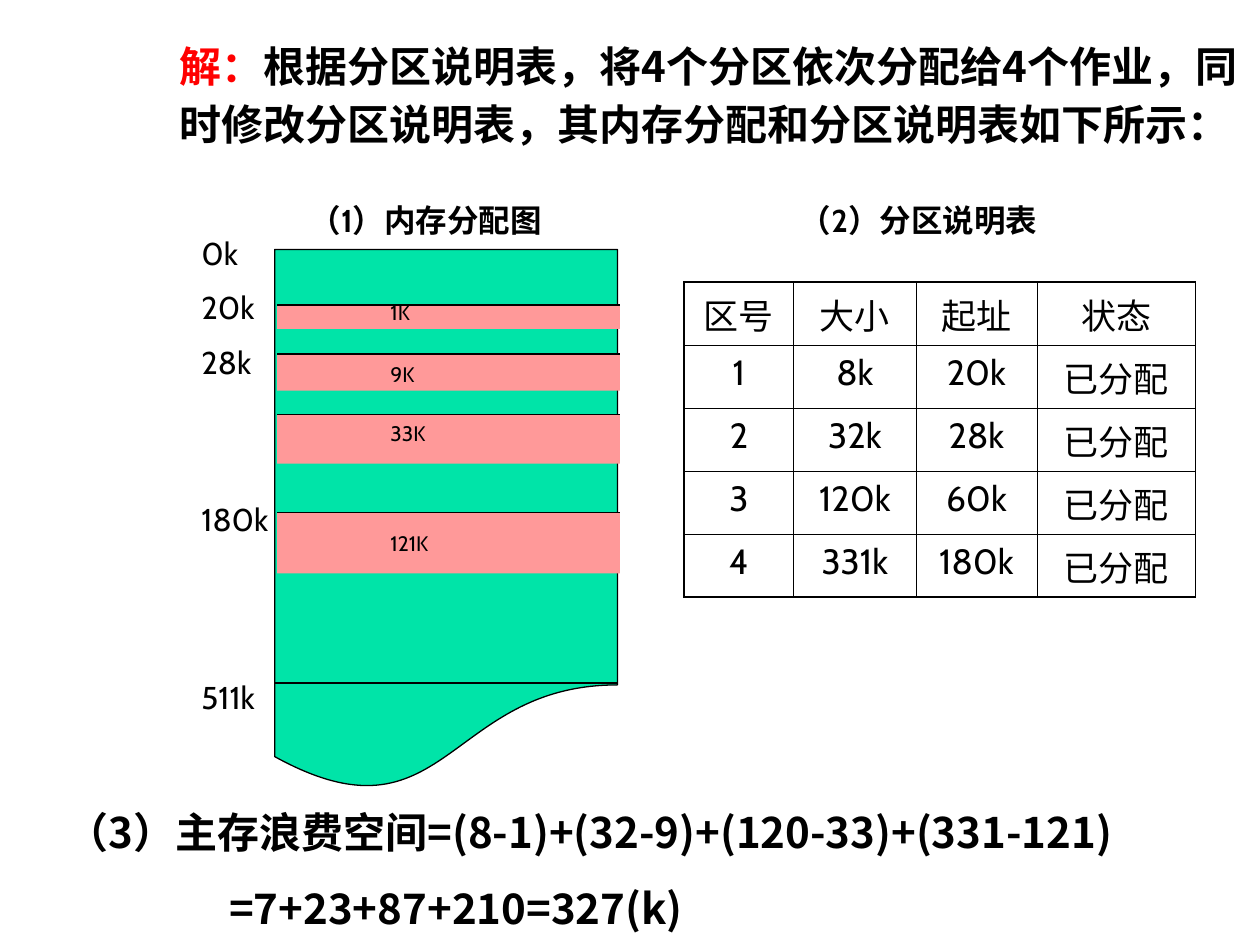
import pptx
import pptx.util
import pptx.dml.color
import pptx.enum.shapes
import pptx.enum.text
import pptx.oxml
import pptx.oxml.ns
from dataclasses import dataclass
from pptx.util import Inches, Pt


@dataclass(frozen=True)
class Theme:
    ink: str = "000000"
    accent: str = "FF0000"
    memory: str = "00E4A8"
    used: str = "FF9999"
    latin: str = "Cabin"
    serif: str = "Times New Roman"
    chinese: str = "Noto Sans CJK SC"
    body: int = 24
    cell: int = 20
    label: int = 18
    small: int = 12
    thin: float = 0.45
    thick: float = 1.08
    line: float = 0.75


THEME = Theme()

# Content
INTRO = [("解：", THEME.accent),
         ("根据分区说明表，将4个分区依次分配给4个作业，"
          "同时修改分区说明表，其内存分配和分区说明表如下所示：", THEME.ink)]
MAP_TITLE = [("（1）", THEME.latin), ("内存分配图", THEME.serif)]
TABLE_TITLE = "（2）分区说明表"
ROWS = [("区号", "大小", "起址", "状态"),
        ("1", "8k", "20k", "已分配"),
        ("2", "32k", "28k", "已分配"),
        ("3", "120k", "60k", "已分配"),
        ("4", "331k", "180k", "已分配")]
COLUMN_WIDTHS = (0.87, 0.97, 0.96, 1.26)
WASTE = ["（3）主存浪费空间=(8-1)+(32-9)+(120-33)+(331-121)",
         "=7+23+87+210=327(k)"]
ADDRESSES = [("0k", 2.01), ("20k", 2.44), ("28k", 2.87),
             ("180k", 4.12), ("511k", 5.53)]  # text, middle height
JOBS = [("1K", 2.42, 0.19, 2.33), ("9K", 2.81, 0.29, 2.82),
        ("33K", 3.29, 0.39, 3.29), ("121K", 4.07, 0.48, 4.16)]  # top, height, text top
MEMORY_END = 5.42
MAP_LEFT, MAP_WIDTH = 2.18, 2.72


def color(value):
    return pptx.dml.color.RGBColor.from_string(value)


def style(span, size, font=THEME.latin, ink=THEME.ink, bold=False):
    span.font.size, span.font.bold, span.font.name = Pt(size), bold, font
    span.font.color.rgb = color(ink)
    east_asian = pptx.oxml.parse_xml(
        f'<a:ea {pptx.oxml.ns.nsdecls("a")} typeface="{THEME.chinese}"/>')
    span.font._element.find(pptx.oxml.ns.qn("a:latin")).addnext(east_asian)


def add_text(page, place, lines, size, **look):
    """Each line is a list of (text, extra look) spans."""
    box = page.shapes.add_textbox(*map(Inches, place))
    frame = box.text_frame
    frame.word_wrap = True
    for index, spans in enumerate(lines):
        para = frame.paragraphs[0] if index == 0 else frame.add_paragraph()
        for text, extra in spans:
            span = para.add_run()
            span.text = text
            style(span, size, **{**look, **extra})
    return frame.paragraphs


def add_block(page, kind, place, fill):
    block = page.shapes.add_shape(kind, *map(Inches, place))
    block.shadow.inherit = False
    block.fill.solid()
    block.fill.fore_color.rgb = color(fill)
    block.line.fill.background()
    return block


def add_boundary(page, left, top):
    rule = page.shapes.add_connector(
        pptx.enum.shapes.MSO_CONNECTOR.STRAIGHT,
        Inches(left), Inches(top), Inches(left + MAP_WIDTH), Inches(top))
    rule.line.color.rgb = color(THEME.ink)
    rule.line.width = Pt(THEME.line)
    rule._element.spPr.append(pptx.oxml.parse_xml(
        f'<a:effectLst {pptx.oxml.ns.nsdecls("a")}/>'))


def set_borders(cell, outer):
    properties = cell._tc.get_or_add_tcPr()
    for index, side in enumerate("LRTB"):
        width = Pt(THEME.thick if side in outer else THEME.thin)
        properties.insert(index, pptx.oxml.parse_xml(
            f'<a:ln{side} {pptx.oxml.ns.nsdecls("a")} w="{int(width)}"><a:solidFill>'
            f'<a:srgbClr val="{THEME.ink}"/></a:solidFill></a:ln{side}>'))


def add_partition_table(page):
    grid = page.shapes.add_table(
        len(ROWS), len(COLUMN_WIDTHS), Inches(5.43), Inches(2.24),
        Inches(sum(COLUMN_WIDTHS)), Inches(0.5 * len(ROWS))).table
    grid.first_row = grid.horz_banding = False
    for column, width in zip(grid.columns, COLUMN_WIDTHS):
        column.width = Inches(width)
    for r, row in enumerate(ROWS):
        for c, text in enumerate(row):
            cell = grid.cell(r, c)
            cell.fill.background()
            outer = {side for side, edge in (
                ("L", c == 0), ("R", c == len(row) - 1),
                ("T", r == 0), ("B", r == len(ROWS) - 1)) if edge}
            set_borders(cell, outer)
            para = cell.text_frame.paragraphs[0]
            para.text = text
            para.alignment = pptx.enum.text.PP_ALIGN.CENTER
            style(para.runs[0], THEME.cell)


def add_memory_map(page):
    shapes = pptx.enum.shapes.MSO_SHAPE
    memory = add_block(page, shapes.FLOWCHART_DOCUMENT,
                       (MAP_LEFT, 1.98, MAP_WIDTH, 4.31), THEME.memory)
    memory.line.color.rgb = color(THEME.ink)
    memory.line.width = Pt(THEME.line)
    add_boundary(page, MAP_LEFT, MEMORY_END)
    job_left = MAP_LEFT + 0.02
    for text, top, height, text_top in JOBS:
        add_block(page, shapes.RECTANGLE, (job_left, top, MAP_WIDTH, height), THEME.used)
        add_boundary(page, job_left, top)
        add_text(page, (3, text_top, 0.83, 0.3), [[(text, {})]], THEME.small)
    for text, middle in ADDRESSES:
        add_text(page, (1.5, middle - 0.2, 0.87, 0.4), [[(text, {})]], THEME.label)


def main():
    deck = pptx.Presentation()
    deck.slide_width, deck.slide_height = Inches(10), Inches(7.5)
    page = deck.slides.add_slide(deck.slide_layouts[6])

    # Introduction
    intro = add_text(page, (1.33, 0.21, 8.67, 1.02),
                     [[(text, {"ink": ink}) for text, ink in INTRO]],
                     THEME.body, font=THEME.chinese, bold=True)
    intro[0].line_spacing = 1.15

    # Memory map and partition table
    add_memory_map(page)
    add_text(page, (2.36, 1.55, 2.33, 0.4),
             [[(text, {"font": font}) for text, font in MAP_TITLE]],
             THEME.label, bold=True)
    add_text(page, (6.25, 1.55, 2.33, 0.4), [[(TABLE_TITLE, {})]],
             THEME.label, bold=True)
    add_partition_table(page)

    # Wasted space
    waste = add_text(page, (0.43, 6.35, 8.75, 1.11),
                     [[(text, {})] for text in WASTE],
                     THEME.body, font=THEME.chinese, bold=True)
    waste[1].space_before = Pt(15)
    waste[1]._p.get_or_add_pPr().set("marL", str(Inches(1.29)))

    deck.save("out.pptx")


if __name__ == "__main__":
    main()
